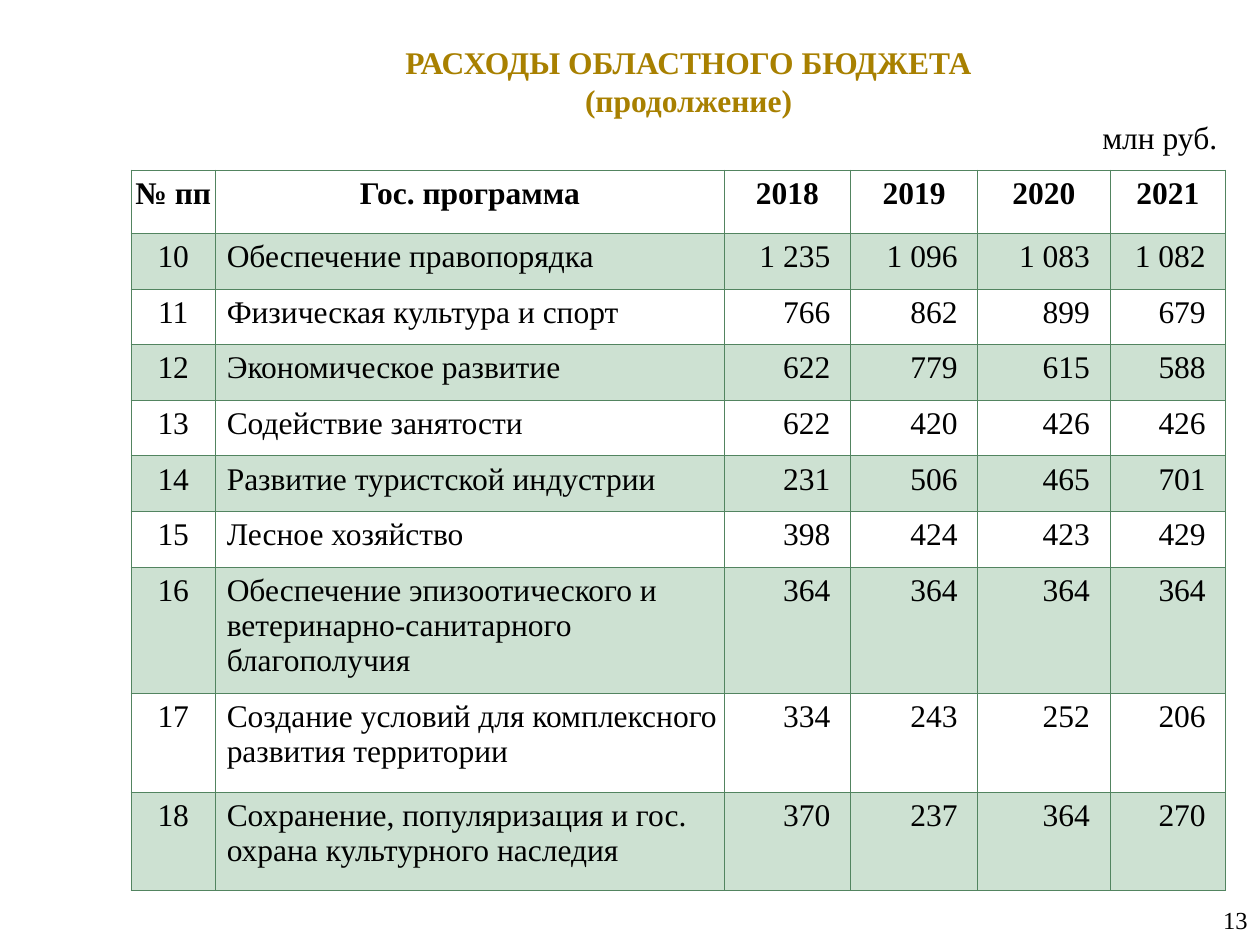
from lxml import etree
from pptx import Presentation
from pptx.dml.color import RGBColor
from pptx.enum.text import MSO_ANCHOR, PP_ALIGN
from pptx.oxml.ns import qn
from pptx.util import Inches, Pt

LEFT, CENTER, RIGHT = PP_ALIGN.LEFT, PP_ALIGN.CENTER, PP_ALIGN.RIGHT
TOP, MIDDLE = MSO_ANCHOR.TOP, MSO_ANCHOR.MIDDLE
FONT = "Times New Roman"
BLACK, GOLD, GREEN, PALE_GREEN = "000000", "A88000", "528460", "CDE1D2"
SLIDE_WIDTH, SLIDE_HEIGHT = 10, 7.5

HEADINGS = ("№ пп", "Гос. программа", "2018", "2019", "2020", "2021")
PROGRAMS = (
    ("10", "Обеспечение правопорядка", "1 235", "1 096", "1 083", "1 082"),
    ("11", "Физическая культура и спорт", "766", "862", "899", "679"),
    ("12", "Экономическое развитие", "622", "779", "615", "588"),
    ("13", "Содействие занятости", "622", "420", "426", "426"),
    ("14", "Развитие туристской индустрии", "231", "506", "465", "701"),
    ("15", "Лесное хозяйство", "398", "424", "423", "429"),
    ("16", "Обеспечение эпизоотического и ветеринарно-санитарного благополучия",
     "364", "364", "364", "364"),
    ("17", "Создание условий для комплексного развития территории",
     "334", "243", "252", "206"),
    ("18", "Сохранение, популяризация и гос. охрана культурного наследия",
     "370", "237", "364", "270"),
)
COLUMN_WEIGHTS = (0.67, 4.04, 1, 1.01, 1.05, 0.92)
ROW_WEIGHTS = (0.5,) + (0.44,) * 6 + (1, 0.78, 0.78)


def color(hex_string):
    """Turn a hex string into a colour."""
    return RGBColor.from_string(hex_string)


def write(frame, text, size=18, fill=BLACK, bold=False, align=LEFT, indent=0):
    """Fill a text frame with one formatted paragraph per line of text."""
    frame.word_wrap = True
    for number, line in enumerate(text.split("\n")):
        paragraph = frame.add_paragraph() if number else frame.paragraphs[0]
        paragraph.alignment = align
        if indent:
            paragraph._p.get_or_add_pPr().set("marL", str(Inches(indent)))
        run = paragraph.add_run()
        run.text = line
        run.font.name, run.font.size, run.font.bold = FONT, Pt(size), bold
        run.font.color.rgb = color(fill)


def add_label(slide, box, text, anchor=TOP, **text_format):
    """Place a text box in a box given in inches."""
    frame = slide.shapes.add_textbox(*map(Inches, box)).text_frame
    frame.vertical_anchor = anchor
    write(frame, text, **text_format)


def add_borders(cell):
    """Draw a thin green line on the four sides of a cell."""
    properties = cell._tc.get_or_add_tcPr()
    for side in ("a:lnL", "a:lnR", "a:lnT", "a:lnB"):
        line = etree.SubElement(properties, qn(side), w=str(Pt(0.5)))
        solid = etree.SubElement(line, qn("a:solidFill"))
        etree.SubElement(solid, qn("a:srgbClr"), val=GREEN)


def style_cell(cell, text, row, column):
    """Write a cell and format it by its row and column."""
    is_heading, is_figure = row == 0, row > 0 and column > 1
    is_program = row > 0 and column == 1
    cell.margin_left = Inches(0.01)
    cell.margin_right = Inches(0.16 if is_figure else 0.01)
    cell.margin_top = cell.margin_bottom = Inches(0.05)
    add_borders(cell)
    if row % 2:
        cell.fill.solid()
        cell.fill.fore_color.rgb = color(PALE_GREEN)
    else:
        cell.fill.background()
    align = RIGHT if is_figure else LEFT if is_program else CENTER
    write(cell.text_frame, text, bold=is_heading, align=align,
          indent=0.08 if is_program else 0)


def add_budget_table(slide, box):
    """Place the spending table, sharing its box by column and row weights."""
    rows = (HEADINGS,) + PROGRAMS
    table = slide.shapes.add_table(
        len(rows), len(HEADINGS), *map(Inches, box)).table
    table.first_row = table.horz_banding = False
    width, height = box[2:]
    for column, weight in zip(table.columns, COLUMN_WEIGHTS):
        column.width = Inches(width * weight / sum(COLUMN_WEIGHTS))
    for row, weight in zip(table.rows, ROW_WEIGHTS):
        row.height = Inches(height * weight / sum(ROW_WEIGHTS))
    for row, texts in enumerate(rows):
        for column, text in enumerate(texts):
            style_cell(table.cell(row, column), text, row, column)


def add_heading(slide, box):
    """Place the slide title and the unit of measure under its right end."""
    left, top, width, height = box
    add_label(slide, box, "РАСХОДЫ ОБЛАСТНОГО БЮДЖЕТА\n(продолжение)",
              fill=GOLD, bold=True, align=CENTER)
    add_label(slide, (left + width - 0.95, top + 0.6, 1.17, 0.4), "млн руб.")


def add_page_number(slide, box):
    """Place the page number at the right of its box."""
    add_label(slide, box, "13", anchor=MIDDLE, size=14, align=RIGHT)


def main():
    """Build and save the slide."""
    deck = Presentation()
    deck.slide_width, deck.slide_height = Inches(SLIDE_WIDTH), Inches(SLIDE_HEIGHT)
    slide = deck.slides.add_slide(deck.slide_layouts[6])
    add_heading(slide, (1.33, 0.29, 8.27, 0.71))
    add_page_number(slide, (SLIDE_WIDTH - 2.25, SLIDE_HEIGHT - 0.4, 2.25, 0.4))
    add_budget_table(slide, (1.04, 1.35, 8.69, 5.72))
    deck.save("out.pptx")


if __name__ == "__main__":
    main()
